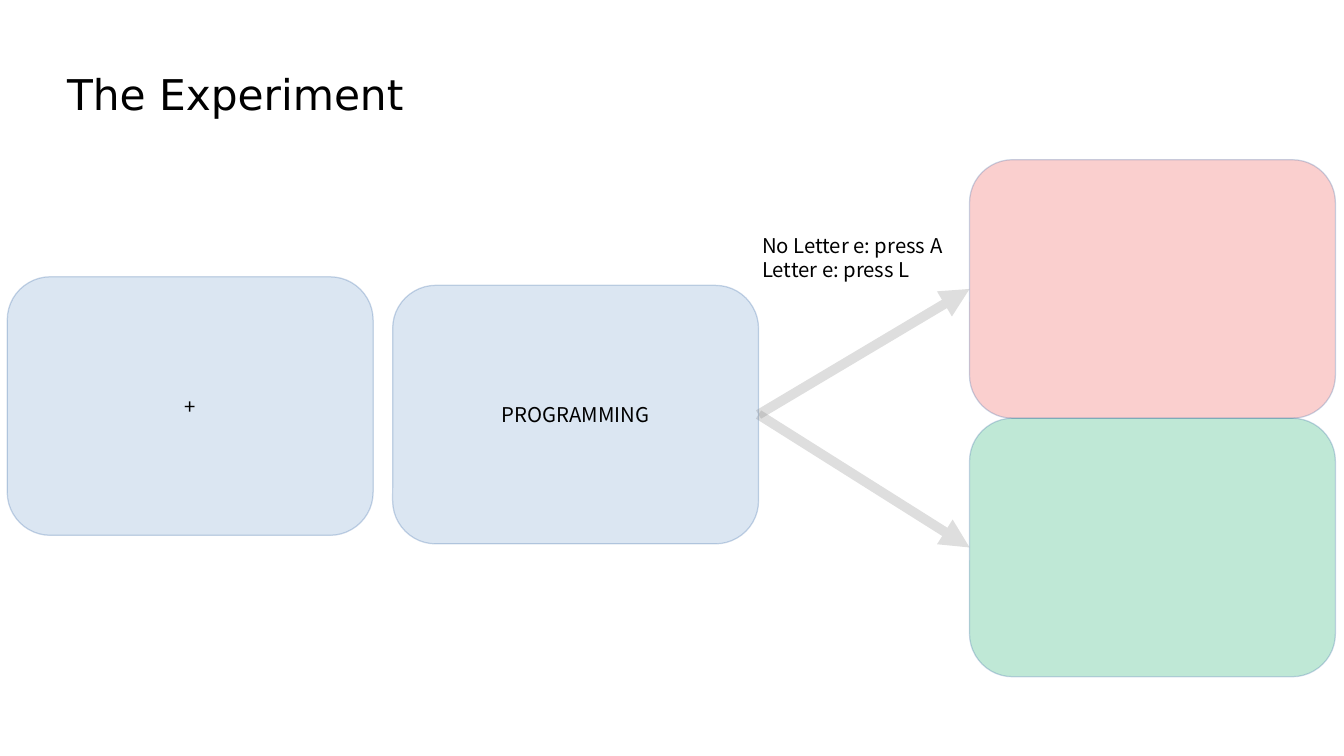
import pptx
import pptx.util
from lxml import etree
from pptx.dml.color import RGBColor
from pptx.enum.shapes import MSO_CONNECTOR, MSO_SHAPE
from pptx.enum.text import MSO_ANCHOR, PP_ALIGN
from pptx.oxml.ns import qn

Pt = pptx.util.Pt

BLACK = RGBColor(0x00, 0x00, 0x00)
BLUE = RGBColor(0x72, 0x9F, 0xCF)
OUTLINE = RGBColor(0x34, 0x65, 0xA4)
RED = RGBColor(0xEF, 0x41, 0x3D)
GREEN = RGBColor(0x00, 0xA6, 0x5D)
GRAY = RGBColor(0x80, 0x80, 0x80)

CARD_W, CARD_H = 216, 152.64
RIGHT, LEFT = 3, 1


def set_translucent(fill_parent):
    """Give the solid fill inside an spPr or a:ln element 25 % opacity."""
    color = fill_parent.find(qn("a:solidFill"))[0]
    etree.SubElement(color, qn("a:alpha"), val="25000")


class SlideBuilder:
    title_font = "DejaVu Sans"
    body_font = "Noto Sans CJK KR"
    body_size = 12

    def __init__(self, slide):
        self.s = slide

    def style(self, p, font, size):
        p.font.name = font
        p.font.size = Pt(size)
        p.font.color.rgb = BLACK

    def title(self, text, x, y, w, h):
        sp = self.s.shapes.title
        sp.left, sp.top, sp.width, sp.height = Pt(x), Pt(y), Pt(w), Pt(h)
        tf = sp.text_frame
        tf.margin_left = tf.margin_right = tf.margin_top = tf.margin_bottom = 0
        tf.vertical_anchor = MSO_ANCHOR.MIDDLE
        tf.text = text
        p = tf.paragraphs[0]
        p.alignment = PP_ALIGN.LEFT
        self.style(p, self.title_font, 25)

    def card(self, x, y, color, text=""):
        sp = self.s.shapes.add_shape(MSO_SHAPE.ROUNDED_RECTANGLE,
                                     Pt(x), Pt(y), Pt(CARD_W), Pt(CARD_H))
        sp.shadow.inherit = False
        sp.fill.solid()
        sp.fill.fore_color.rgb = color
        set_translucent(sp._element.spPr)
        sp.line.color.rgb = OUTLINE
        sp.line.width = 0
        set_translucent(sp.line._get_or_add_ln())
        if text:
            tf = sp.text_frame
            tf.word_wrap = False
            tf.vertical_anchor = MSO_ANCHOR.MIDDLE
            tf.text = text
            p = tf.paragraphs[0]
            p.alignment = PP_ALIGN.CENTER
            self.style(p, self.body_font, self.body_size)
        return sp

    def arrow(self, start, end):
        """Join the right side of one card to the left side of another."""
        c = self.s.shapes.add_connector(MSO_CONNECTOR.STRAIGHT, 0, 0, 0, 0)
        c.begin_connect(start, RIGHT)
        c.end_connect(end, LEFT)
        c.line.color.rgb = GRAY
        c.line.width = Pt(5.75)
        ln = c.line._get_or_add_ln()
        set_translucent(ln)
        etree.SubElement(ln, qn("a:tailEnd"), type="triangle")
        etree.SubElement(c._element.spPr, qn("a:effectLst"))

    def label(self, lines, x, y, w, h):
        tf = self.s.shapes.add_textbox(Pt(x), Pt(y), Pt(w), Pt(h)).text_frame
        tf.word_wrap = True
        tf.text = "\n".join(lines)
        for p in tf.paragraphs:
            self.style(p, self.body_font, self.body_size)


def main():
    prs = pptx.Presentation()
    prs.slide_width, prs.slide_height = Pt(793.44), Pt(446.4)
    b = SlideBuilder(prs.slides.add_slide(prs.slide_layouts[5]))

    b.title("The Experiment", 39.6, 18, 714.24, 74.88)
    word = b.card(231.84, 168.48, BLUE, "PROGRAMMING")
    b.card(4.32, 163.44, BLUE, "+")
    outcomes = [b.card(572.4, 94.32 + i * CARD_H, color)
                for i, color in enumerate((RED, GREEN))]
    for outcome in outcomes:
        b.arrow(word, outcome)
    b.label(["No Letter e: press A", "Letter e: press L"],
            442.8, 133.92, 123.84, 56.16)

    prs.save("out.pptx")


if __name__ == "__main__":
    main()
